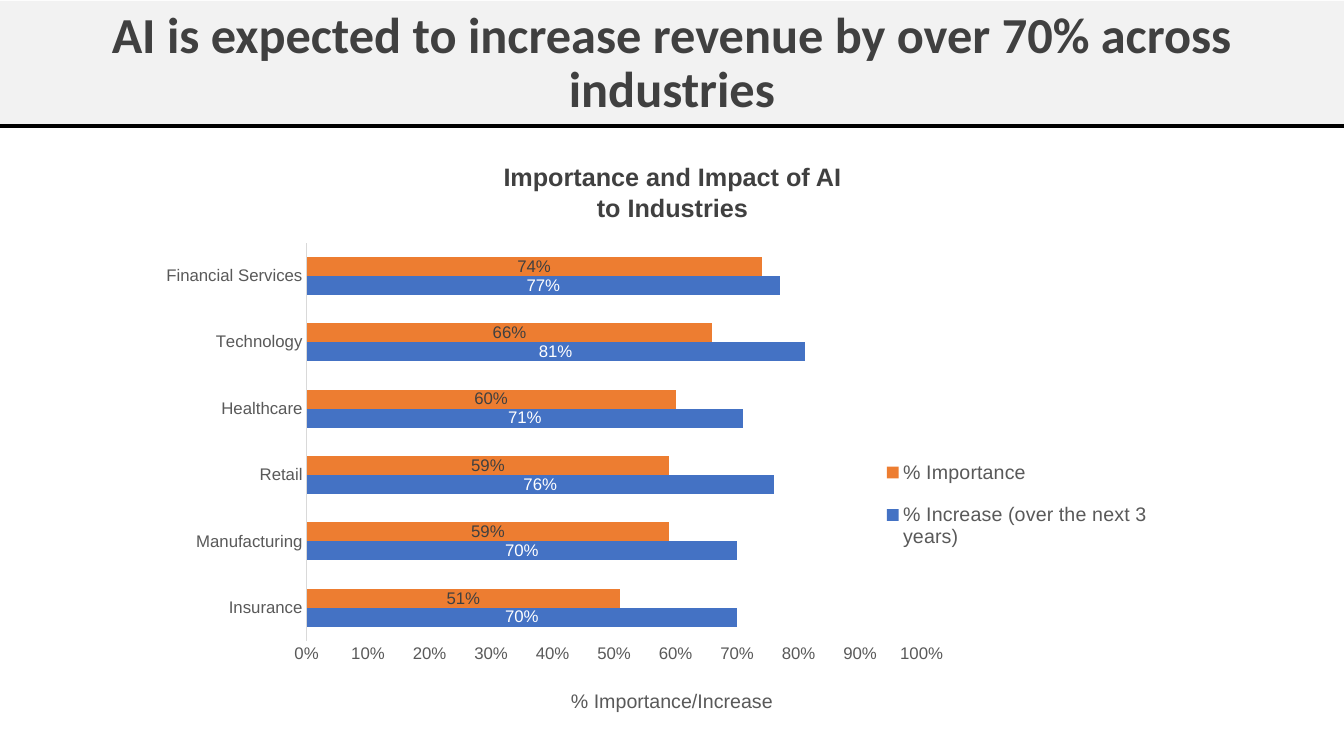
import pptx
import pptx.chart.data
import pptx.dml.color
import pptx.enum.chart
import pptx.enum.shapes
import pptx.enum.text
import pptx.oxml
import pptx.oxml.ns
import pptx.util

Pt = pptx.util.Pt
COLOURS = {
    "band": "F2F2F2", "rule": "000000", "heading": "404040", "label": "595959",
    "axis": "D9D9D9", "increase": "4472C4", "importance": "ED7D31", "light": "FFFFFF",
}
INDUSTRIES = ["Insurance", "Manufacturing", "Retail", "Healthcare", "Technology", "Financial Services"]
SERIES = [
    ("% Increase (over the next 3 years)", [0.7, 0.7, 0.76, 0.71, 0.81, 0.77], "increase", "light"),
    ("% Importance", [0.51, 0.59, 0.59, 0.6, 0.66, 0.74], "importance", "heading"),
]


def colour(name):
    """Return the named colour."""
    return pptx.dml.color.RGBColor.from_string(COLOURS[name])


def paint(fill, name):
    """Make a fill solid in the named colour."""
    fill.solid()
    fill.fore_color.rgb = colour(name)


def set_all(target, formats):
    """Set each attribute of the target from a dict."""
    for name, value in formats.items():
        setattr(target, name, value)


def style_font(font, size, name, face="Arial", bold=False):
    """Give a font its face, size, weight and colour."""
    set_all(font, {"name": face, "size": Pt(size), "bold": bold})
    font.color.rgb = colour(name)


def write(shape, text, size, name, face="Arial", bold=False, spacing=None):
    """Put one centred paragraph into a shape."""
    set_all(shape.text_frame, {
        "word_wrap": True,
        "vertical_anchor": pptx.enum.text.MSO_ANCHOR.MIDDLE,
    })
    para = shape.text_frame.paragraphs[0]
    set_all(para, {"alignment": pptx.enum.text.PP_ALIGN.CENTER, "line_spacing": spacing})
    span = para.add_run()
    span.text = text
    style_font(span.font, size, name, face, bold)


def add_text(page, bounds, text, size, name, bold=False):
    """Add a centred text box."""
    box = page.shapes.add_textbox(*map(Pt, bounds))
    write(box, text, size, name, bold=bold)
    box.text_frame.auto_size = pptx.enum.text.MSO_AUTO_SIZE.SHAPE_TO_FIT_TEXT


def add_banner(page, text):
    """Add the title band and the rule beneath it."""
    band = page.shapes.add_shape(
        pptx.enum.shapes.MSO_SHAPE.RECTANGLE, Pt(0), Pt(0.7), Pt(960), Pt(90))
    band.shadow.inherit = False
    paint(band.fill, "band")
    band.line.fill.background()
    write(band, text, 36, "heading", "Calibri", True, 0.9)
    rule = page.shapes.add_connector(
        pptx.enum.shapes.MSO_CONNECTOR.STRAIGHT, Pt(0), Pt(90), Pt(960), Pt(90))
    rule.line.color.rgb = colour("rule")
    rule.line.width = Pt(2.25)
    rule._element.spPr.append(pptx.oxml.parse_xml(
        f'<a:effectLst {pptx.oxml.ns.nsdecls("a")}/>'))


def place(parent, index, bounds, target=""):
    """Give a chart part a manual layout in fractions of the chart."""
    for layout in parent.findall(pptx.oxml.ns.qn("c:layout")):
        parent.remove(layout)
    modes = '<c:xMode val="edge"/><c:yMode val="edge"/>'
    sides = "".join(f'<c:{side} val="{value}"/>' for side, value in zip("xywh", bounds))
    parent.insert(index, pptx.oxml.parse_xml(
        f'<c:layout {pptx.oxml.ns.nsdecls("c")}><c:manualLayout>'
        f'{target}{modes}{sides}</c:manualLayout></c:layout>'))


def style_axis(axis):
    """Give an axis plain labels without ticks or gridlines."""
    none = pptx.enum.chart.XL_TICK_MARK.NONE
    set_all(axis, {
        "has_major_gridlines": False, "has_title": False,
        "major_tick_mark": none, "minor_tick_mark": none,
    })
    style_font(axis.tick_labels.font, 12, "label")


def style_series(series, fill_name, label_name):
    """Colour a series and show its values in the bars."""
    paint(series.format.fill, fill_name)
    series.invert_if_negative = False
    labels = series.data_labels
    set_all(labels, {
        "show_value": True, "number_format": "0%", "number_format_is_linked": False,
        "position": pptx.enum.chart.XL_LABEL_POSITION.CENTER,
    })
    style_font(labels.font, 12, label_name)


def add_bars(page, bounds):
    """Add the clustered bar chart with its legend."""
    data = pptx.chart.data.CategoryChartData(number_format="0%")
    data.categories = INDUSTRIES
    for name, values, *_ in SERIES:
        data.add_series(name, values)
    chart = page.shapes.add_chart(
        pptx.enum.chart.XL_CHART_TYPE.BAR_CLUSTERED, *map(Pt, bounds), data).chart
    set_all(chart, {"has_title": False, "has_legend": True})
    style_font(chart.font, 10, "rule")
    plot = chart.plots[0]
    set_all(plot, {"gap_width": 150, "overlap": 0, "vary_by_categories": False})
    for series, (_, _, fill_name, label_name) in zip(plot.series, SERIES):
        style_series(series, fill_name, label_name)
    for axis in (chart.category_axis, chart.value_axis):
        style_axis(axis)
    chart.category_axis.format.line.color.rgb = colour("axis")
    chart.category_axis.format.line.width = Pt(0.75)
    set_all(chart.value_axis, {"minimum_scale": 0, "maximum_scale": 1, "major_unit": 0.1})
    set_all(chart.value_axis.tick_labels, {"number_format": "0%", "number_format_is_linked": False})
    chart.value_axis.format.line.fill.background()
    set_all(chart.legend, {
        "position": pptx.enum.chart.XL_LEGEND_POSITION.RIGHT, "include_in_layout": False,
    })
    style_font(chart.legend.font, 14, "label")
    place(chart.legend._element, 1, (0.7, 0.47, 0.28, 0.28))
    place(chart._chartSpace.chart.plotArea, 0, (0.14, 0.035, 0.606, 0.874),
          '<c:layoutTarget val="inner"/>')


def main():
    """Build the slide and save it."""
    deck = pptx.Presentation()
    set_all(deck, {"slide_width": Pt(960), "slide_height": Pt(540)})
    page = deck.slides.add_slide(deck.slide_layouts[6])
    add_banner(page, "AI is expected to increase revenue by over 70% across industries")
    add_bars(page, (117.5, 162, 725, 325.5))
    add_text(page, (345, 111.6, 270.7, 51), "Importance and Impact of AI to Industries", 18, "heading", True)
    add_text(page, (357, 488, 246, 24.5), "% Importance/Increase", 14, "label")
    deck.save("out.pptx")


if __name__ == "__main__":
    main()
